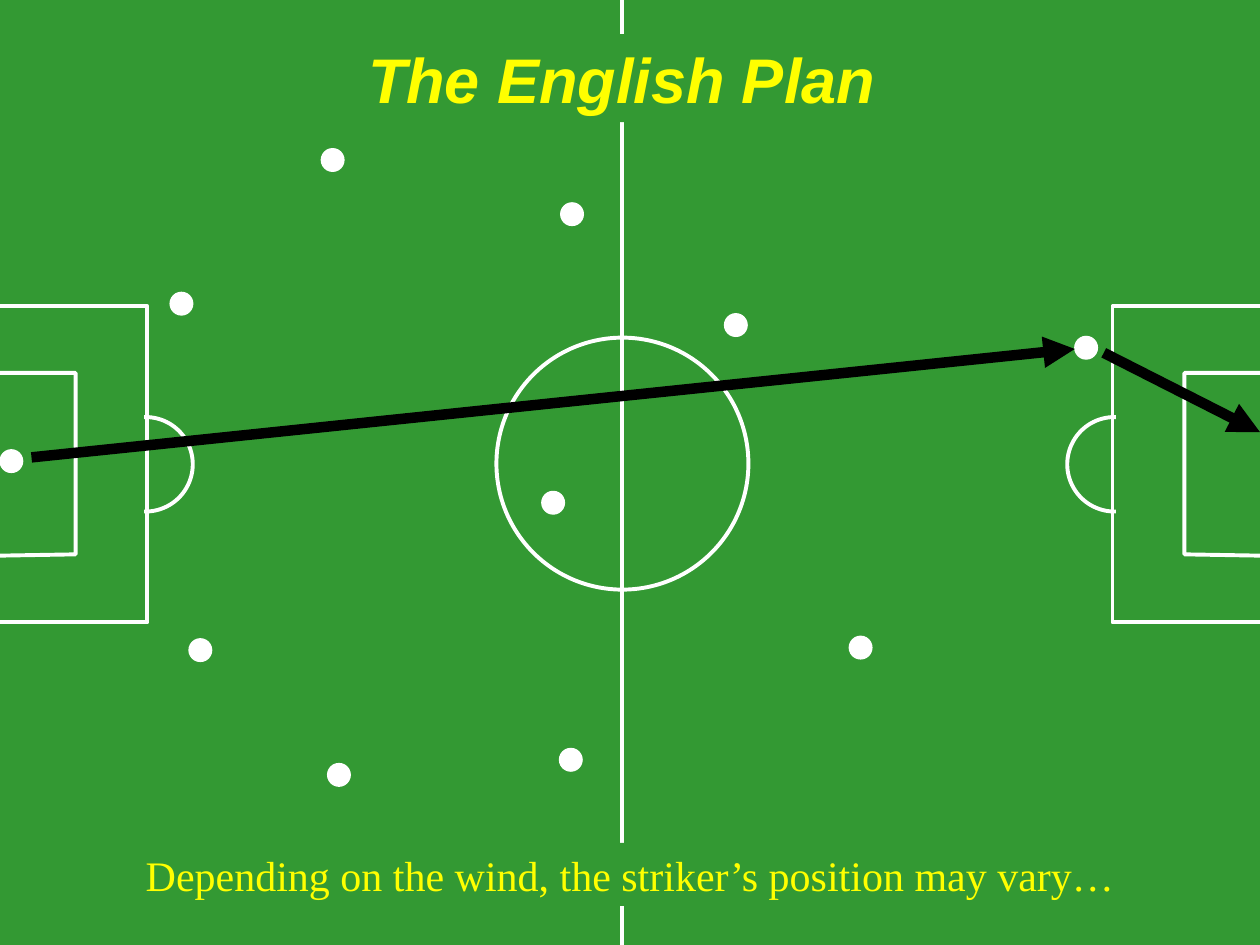
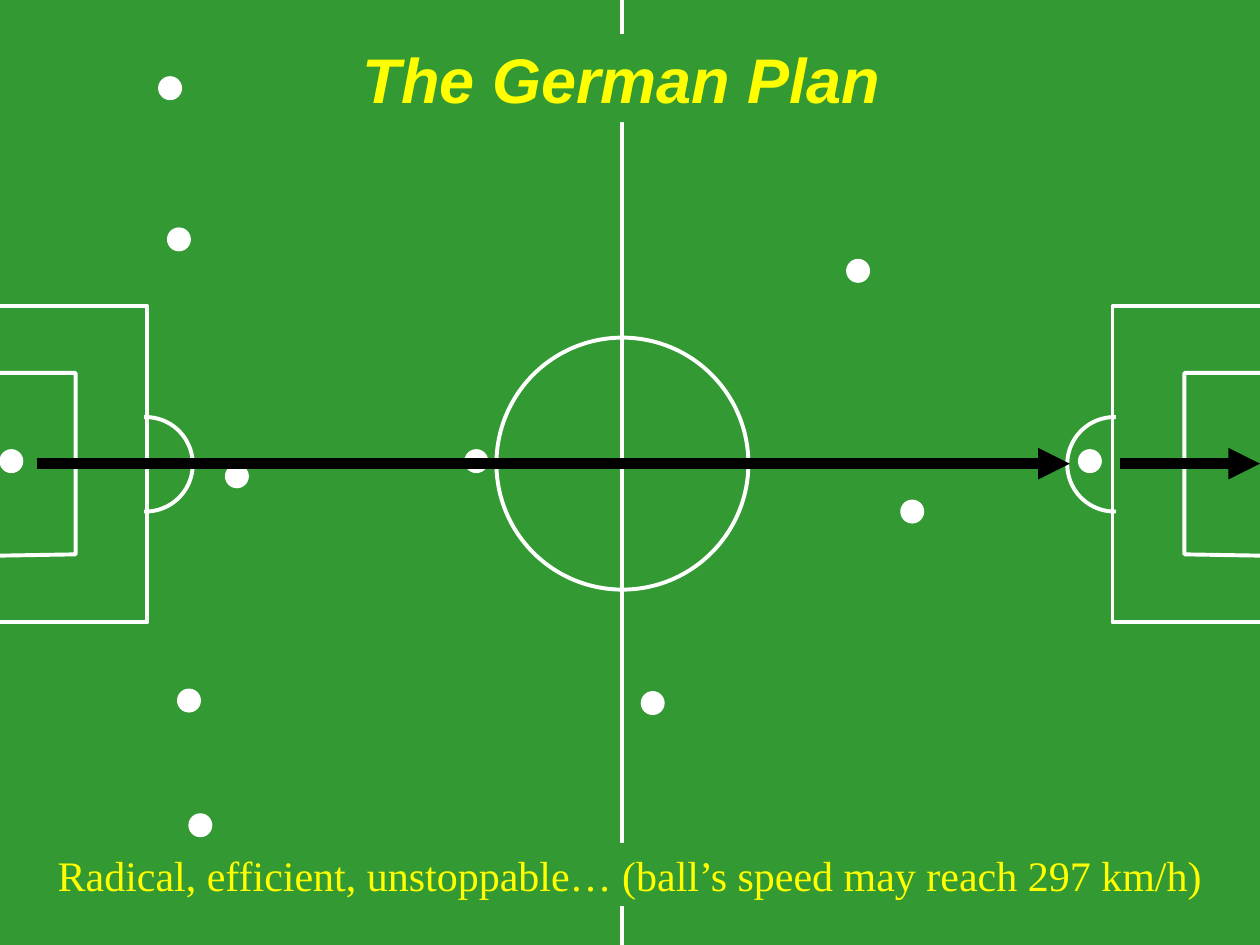
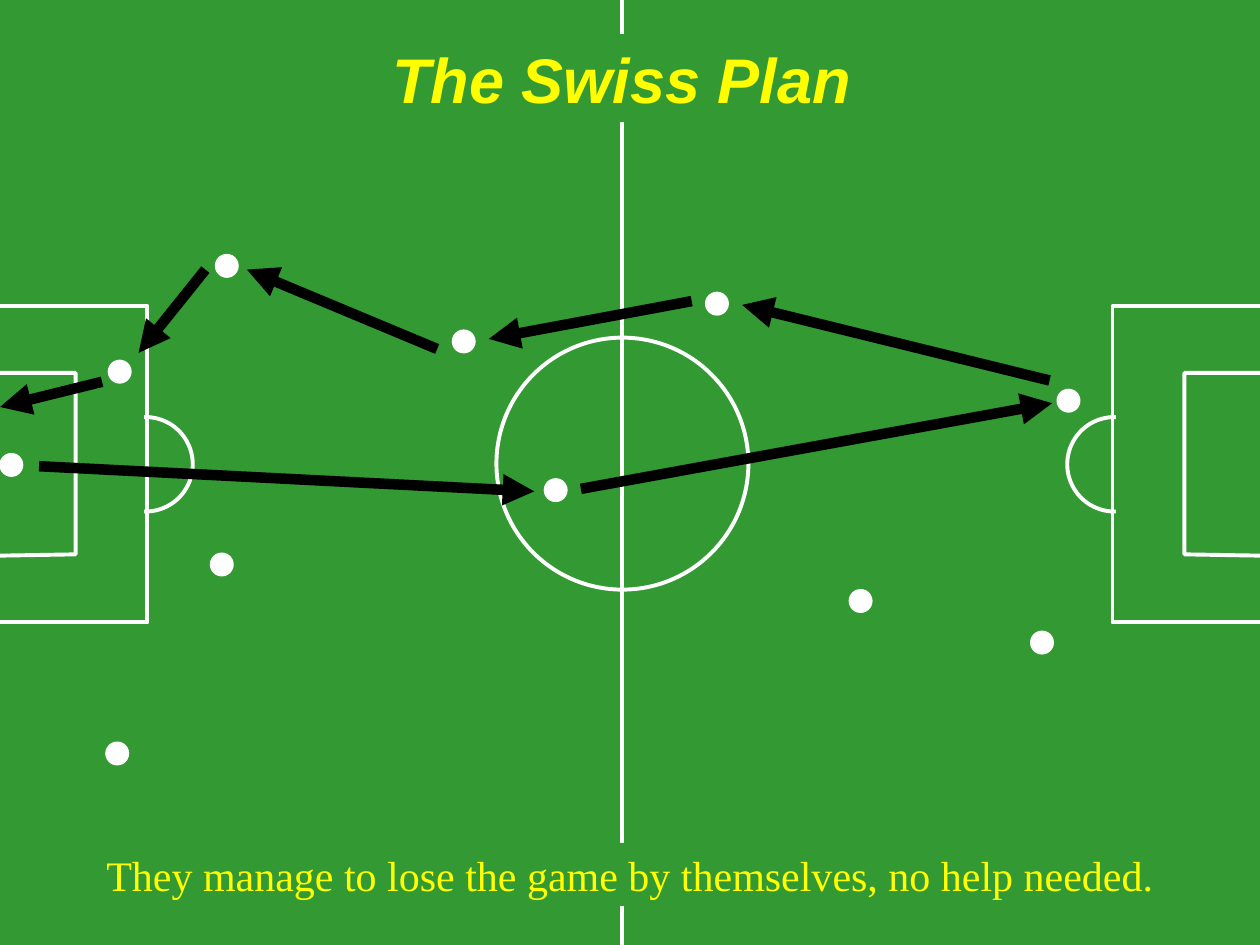
from dataclasses import dataclass

from lxml.etree import SubElement
from pptx import Presentation
from pptx.dml.color import RGBColor
from pptx.enum.shapes import MSO_CONNECTOR, MSO_SHAPE
from pptx.enum.text import MSO_ANCHOR, MSO_AUTO_SIZE, PP_ALIGN
from pptx.oxml.ns import qn
from pptx.util import Inches, Pt


@dataclass(frozen=True)
class Theme:
    grass: RGBColor = RGBColor(0x33, 0x99, 0x33)
    chalk: RGBColor = RGBColor(0xFF, 0xFF, 0xFF)
    pass_color: RGBColor = RGBColor(0, 0, 0)
    text: RGBColor = RGBColor(0xFF, 0xFF, 0)
    title_font: str = "Arial"
    caption_font: str = "Times New Roman"
    title_size: float = 36
    caption_size: float = 24
    chalk_width: float = 2.25
    pass_width: float = 6
    thin_width: float = 0.75


@dataclass(frozen=True)
class Box:
    left: int
    top: int
    width: int
    height: int
    columns: float = 10
    rows: float = 7.5

    def point(self, column, row):
        return (
            self.left + round(self.width * column / self.columns),
            self.top + round(self.height * row / self.rows),
        )

    def area(self, column, row, columns, rows):
        left, top = self.point(column, row)
        right, bottom = self.point(column + columns, row + rows)
        return left, top, right - left, bottom - top


THEME = Theme()
FIELD = Box(0, 0, Inches(10), Inches(7.5))
PLAYER = 0.18
TITLE_AREA = (2.35, 0.27, 5.17, 0.7)
CAPTION_AREA = (0, 6.69, 10, 0.5)

PLANS = [
    {
        "title": "The English Plan",
        "caption": "Depending on the wind, the striker’s position may vary…",
        "players": [
            (0, 3.57), (1.35, 2.32), (2.6, 6.06), (2.55, 1.18),
            (4.44, 5.94), (4.3, 3.9), (4.45, 1.61), (5.75, 2.49),
            (6.74, 5.05), (1.5, 5.07), (8.53, 2.67),
        ],
        "passes": [
            ((0.25, 3.63), (8.53, 2.77)),
            ((8.76, 2.8), (10, 3.43)),
        ],
    },
    {
        "title": "The German Plan",
        "caption": "Radical, efficient, unstoppable… (ball’s speed may reach 297 km/h)",
        "players": [
            (0, 3.57), (1.26, 0.61), (1.5, 6.46), (1.33, 1.81),
            (5.09, 5.49), (1.79, 3.69), (3.69, 3.57), (6.72, 2.06),
            (7.15, 3.97), (1.41, 5.47), (8.56, 3.57),
        ],
        "passes": [
            ((0.29, 3.68), (8.49, 3.68)),
            ((8.89, 3.68), (10, 3.68)),
        ],
    },
    {
        "title": "The Swiss Plan",
        "caption": "They manage to lose the game by themselves, no help needed.",
        "players": [
            (0, 3.6), (1.71, 2.02), (0.84, 5.89), (3.59, 2.62),
            (0.86, 2.86), (6.74, 4.68), (4.32, 3.8), (5.6, 2.32),
            (1.67, 4.39), (8.18, 5.01), (8.39, 3.09),
        ],
        "passes": [
            ((0.31, 3.7), (4.24, 3.9)),
            ((4.61, 3.88), (8.35, 3.2)),
            ((8.33, 3.02), (5.89, 2.42)),
            ((5.49, 2.39), (3.88, 2.69)),
            ((3.47, 2.77), (1.96, 2.14)),
            ((1.63, 2.14), (1.1, 2.8)),
            ((0.81, 3.03), (0, 3.23)),
        ],
    },
]


def style_shape(shape, line, width, fill=None):
    shape.shadow.inherit = False
    shape.line.color.rgb = line
    shape.line.width = Pt(width)
    if fill is None:
        shape.fill.background()
    else:
        shape.fill.solid()
        shape.fill.fore_color.rgb = fill


def add_line(shapes, box, start, end, color, width, arrow=False):
    line = shapes.add_connector(
        MSO_CONNECTOR.STRAIGHT, *box.point(*start), *box.point(*end)
    )
    line.line.color.rgb = color
    line.line.width = Pt(width)
    if arrow:
        SubElement(line.element.xpath(".//a:ln")[0], qn("a:tailEnd"), type="triangle")
    SubElement(line.element.find(qn("p:spPr")), qn("a:effectLst"))


def add_chalk_path(shapes, box, points):
    start, *rest = [box.point(*point) for point in points]
    builder = shapes.build_freeform(*start)
    builder.add_line_segments(rest, close=False)
    style_shape(builder.convert_to_shape(), THEME.chalk, THEME.chalk_width)


def add_goal_end(shapes, box, mirrored):
    def place(column, width=0):
        return box.columns - column - width if mirrored else column

    for depth, top, bottom, end in ((1.17, 2.43, 4.94, 4.94), (0.6, 2.96, 4.4, 4.41)):
        corners = [(0, top), (depth, top), (depth, bottom), (0, end)]
        add_chalk_path(shapes, box, [(place(column), row) for column, row in corners])
    arc = shapes.add_shape(
        MSO_SHAPE.OVAL, *box.area(place(0.78, 0.75), 3.31, 0.75, 0.75)
    )
    style_shape(arc, THEME.chalk, THEME.chalk_width)
    mask = shapes.add_shape(
        MSO_SHAPE.RECTANGLE, *box.area(place(0.72, 0.42), 3.14, 0.42, 1.08)
    )
    style_shape(mask, THEME.grass, THEME.thin_width, THEME.grass)


def add_pitch(shapes, box):
    add_line(shapes, box, (4.94, 0), (4.94, box.rows), THEME.chalk, THEME.chalk_width)
    circle = shapes.add_shape(MSO_SHAPE.OVAL, *box.area(3.94, 2.68, 2, 2))
    style_shape(circle, THEME.chalk, THEME.chalk_width)
    for mirrored in (False, True):
        add_goal_end(shapes, box, mirrored)


def prepare_layout(layout, page, box):
    layout.slide_master.background.fill.solid()
    layout.slide_master.background.fill.fore_color.rgb = THEME.grass
    for holder in list(layout.placeholders)[1:]:
        layout.shapes.element.remove(holder.element)
    pitch = page.shapes.add_group_shape()
    add_pitch(pitch.shapes, box)
    layout.shapes.element.append(pitch.element)


def write_text(shape, text, *, font, size, bold=False, italic=False):
    shape.fill.solid()
    shape.fill.fore_color.rgb = THEME.grass
    frame = shape.text_frame
    frame.word_wrap = True
    frame.auto_size = MSO_AUTO_SIZE.NONE
    frame.vertical_anchor = MSO_ANCHOR.TOP
    frame.margin_left = frame.margin_right = Inches(0.1)
    frame.margin_top = frame.margin_bottom = Inches(0.05)
    para = frame.paragraphs[0]
    para.alignment = PP_ALIGN.CENTER
    span = para.add_run()
    span.text = text
    span.font.name = font
    span.font.size = Pt(size)
    span.font.bold = bold
    span.font.italic = italic
    span.font.color.rgb = THEME.text


def add_title(page, box, text):
    title = page.shapes.title
    title.left, title.top, title.width, title.height = box.area(*TITLE_AREA)
    write_text(title, text, font=THEME.title_font, size=THEME.title_size,
               bold=True, italic=True)


def add_caption(page, box, text):
    caption = page.shapes.add_textbox(*box.area(*CAPTION_AREA))
    write_text(caption, text, font=THEME.caption_font, size=THEME.caption_size)


def add_players(page, box, players):
    for column, row in players:
        dot = page.shapes.add_shape(
            MSO_SHAPE.OVAL, *box.area(column, row, PLAYER, PLAYER)
        )
        style_shape(dot, THEME.chalk, THEME.thin_width, THEME.chalk)


def add_passes(page, box, passes):
    for start, end in passes:
        add_line(page.shapes, box, start, end, THEME.pass_color, THEME.pass_width,
                 arrow=True)


def fill_plan(page, box, plan):
    add_title(page, box, plan["title"])
    add_players(page, box, plan["players"])
    add_caption(page, box, plan["caption"])
    add_passes(page, box, plan["passes"])


def main():
    deck = Presentation()
    deck.slide_width, deck.slide_height = FIELD.width, FIELD.height
    layout = deck.slide_layouts.get_by_name("Title Only")
    pages = [deck.slides.add_slide(layout) for _ in PLANS]
    prepare_layout(layout, pages[0], FIELD)
    for page, plan in zip(pages, PLANS):
        fill_plan(page, FIELD, plan)
    deck.save("out.pptx")


if __name__ == "__main__":
    main()
